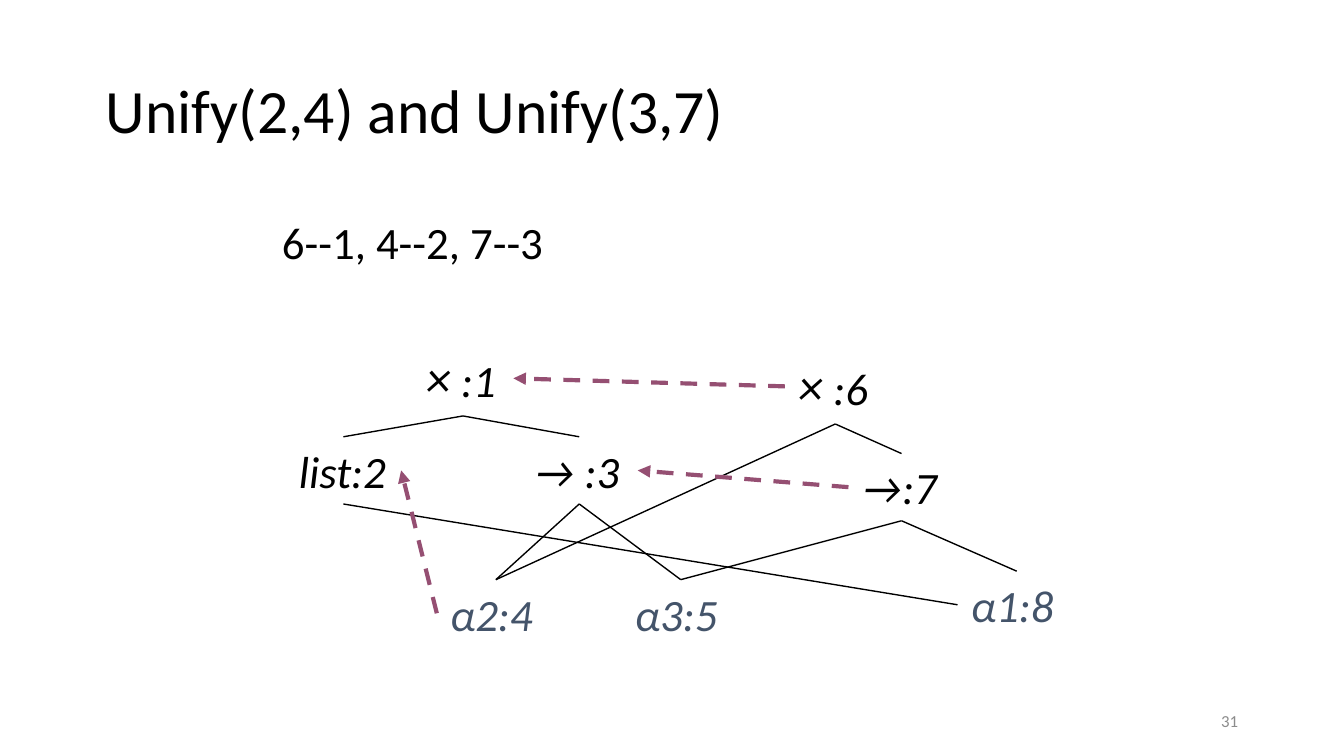
from lxml.etree import SubElement
from pptx import Presentation
from pptx.dml.color import RGBColor
from pptx.enum.dml import MSO_LINE_DASH_STYLE as Dash
from pptx.enum.shapes import MSO_CONNECTOR as Connector
from pptx.enum.text import MSO_ANCHOR as Anchor, MSO_AUTO_SIZE as AutoSize, PP_ALIGN as Align
from pptx.oxml.ns import qn
from pptx.util import Inches, Pt

BLACK = RGBColor(0x00, 0x00, 0x00)
SLATE = RGBColor(0x44, 0x54, 0x6A)
PLUM = RGBColor(0x95, 0x4F, 0x72)
GRAY = RGBColor(0x8C, 0x8C, 0x8C)
TOP, LEFT, BOTTOM, RIGHT = range(4)


class GraphSlide:
    """Draws a term graph on a slide ruled in 100 columns, with square cells."""

    FONT = "Calibri"
    CELL = Inches(0.1)

    def __init__(self, deck):
        self.page = deck.slides.add_slide(deck.slide_layouts[5])

    def cells(self, *lengths):
        return [round(length * self.CELL) for length in lengths]

    def style(self, para, size, color, italic=False):
        font = para.font
        font.name, font.size, font.italic = self.FONT, Pt(size), italic
        font.color.rgb = color

    def title(self, text, area):
        box = self.page.shapes.title
        box.left, box.top, box.width, box.height = self.cells(*area)
        box.text_frame.text = text
        box.text_frame.vertical_anchor = Anchor.MIDDLE
        para = box.text_frame.paragraphs[0]
        para.alignment, para.line_spacing = Align.LEFT, 0.9
        self.style(para, 33, BLACK)

    def text(self, text, area, size=24, color=BLACK, italic=False,
             anchor=Anchor.MIDDLE, align=Align.LEFT, wrap=False):
        box = self.page.shapes.add_textbox(*self.cells(*area))
        frame = box.text_frame
        frame.word_wrap, frame.vertical_anchor = wrap, anchor
        frame.auto_size = AutoSize.NONE if align == Align.RIGHT else AutoSize.SHAPE_TO_FIT_TEXT
        para = frame.paragraphs[0]
        para.alignment = align
        para.add_run().text = text
        self.style(para, size, color, italic)
        return box

    def node(self, label, area, color=BLACK, wrap=False):
        return self.text(label, area, color=color, italic=True, anchor=Anchor.TOP, wrap=wrap)

    def product(self, label, left, top):
        box = self.node("×", (left, top, 7.5, 5.6))
        para = box.text_frame.paragraphs[0]
        para.runs[0].font.size = Pt(27)
        para.add_run().text = label
        return box

    def variable(self, label, left, top):
        return self.node(label, (left, top, 8.8, 5), SLATE, wrap=True)

    def edge(self, start, end, start_side=BOTTOM, end_side=TOP, color=BLACK, width=0.75):
        line = self.page.shapes.add_connector(Connector.STRAIGHT, 0, 0, 0, 0)
        line.begin_connect(start, start_side)
        line.end_connect(end, end_side)
        line.line.color.rgb, line.line.width = color, Pt(width)
        SubElement(line._element.spPr, qn("a:effectLst"))
        return line

    def union(self, start, end):
        arrow = self.edge(start, end, LEFT, RIGHT, PLUM, 2.25)
        arrow.line.dash_style = Dash.DASH
        SubElement(arrow._element.spPr.find(qn("a:ln")), qn("a:tailEnd"), type="triangle")


def main():
    deck = Presentation()
    deck.slide_width = Inches(10)
    deck.slide_height = deck.slide_width * 9 // 16
    graph = GraphSlide(deck)
    graph.title("Unify(2,4) and Unify(3,7)", (6.88, 3, 86.25, 10.9))
    graph.text("6--1, 4--2, 7--3", (20, 15.5, 21.6, 5))
    graph.text("31", (70.62, 52.14, 22.5, 3), 9, GRAY, align=Align.RIGHT, wrap=True)

    nodes = {
        1: graph.product(" :1", 30.7, 25.35),
        2: graph.node("list:2", (21.25, 32.5, 8.6, 5)),
        3: graph.node("→ :3", (38.75, 32.5, 8.7, 5)),
        4: graph.variable("α2:4", 32.5, 43.13),
        5: graph.variable("α3:5", 46.25, 43.13),
        6: graph.product(" :6", 58.4, 25.95),
        7: graph.node("→:7", (63.13, 33.75, 7.9, 5)),
        8: graph.variable("α1:8", 71.25, 42.5),
    }
    for parent, child in [(1, 2), (1, 3), (3, 4), (3, 5), (6, 4), (6, 7), (7, 5), (7, 8)]:
        graph.edge(nodes[parent], nodes[child])
    graph.edge(nodes[2], nodes[8], end_side=LEFT)
    for member, leader in [(6, 1), (4, 2), (7, 3)]:
        graph.union(nodes[member], nodes[leader])
    deck.save("out.pptx")


if __name__ == "__main__":
    main()
